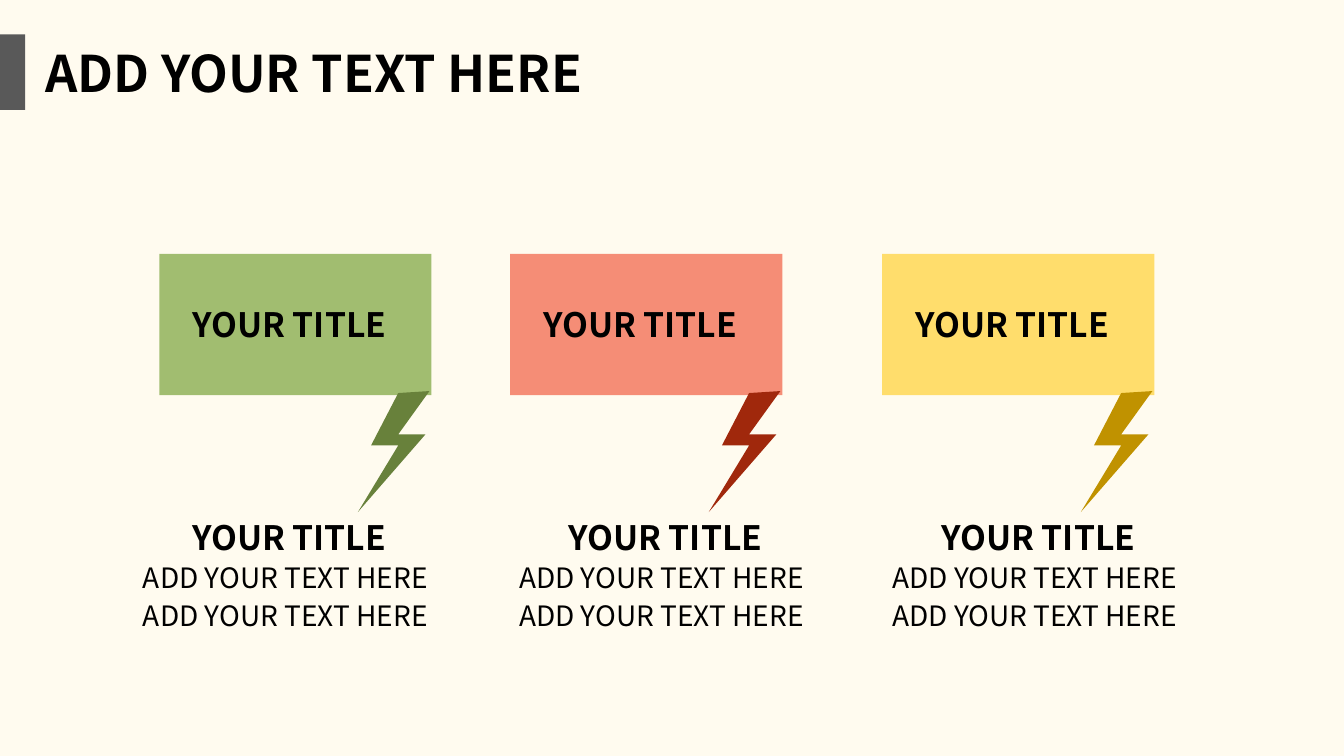
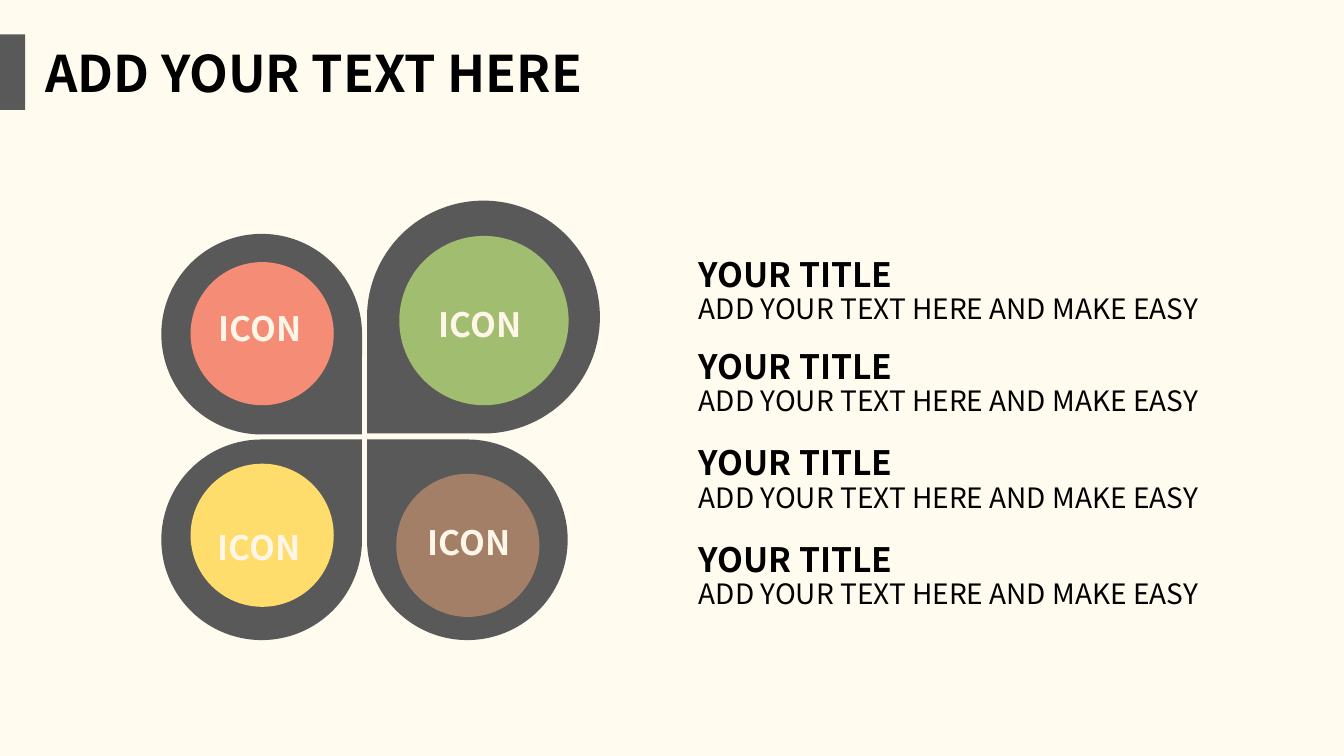
"""Build two infographic slides: lightning callouts and a four-petal diagram."""
from dataclasses import dataclass

from lxml.etree import SubElement
from pptx import Presentation
from pptx.dml.color import RGBColor
from pptx.enum.shapes import MSO_SHAPE
from pptx.enum.text import MSO_ANCHOR, MSO_AUTO_SIZE, PP_ALIGN
from pptx.oxml.ns import qn
from pptx.util import Inches, Pt


@dataclass(frozen=True)
class Theme:
    font: str = "Noto Sans CJK SC"
    cream: RGBColor = RGBColor.from_string("FFFBEF")
    ivory: RGBColor = RGBColor.from_string("FFF6E7")
    black: RGBColor = RGBColor.from_string("000000")
    gray: RGBColor = RGBColor.from_string("595959")
    green: RGBColor = RGBColor.from_string("A1BD70")
    dark_green: RGBColor = RGBColor.from_string("68813B")
    coral: RGBColor = RGBColor.from_string("F58D76")
    dark_red: RGBColor = RGBColor.from_string("A0280C")
    yellow: RGBColor = RGBColor.from_string("FFDD6C")
    dark_yellow: RGBColor = RGBColor.from_string("C09200")
    brown: RGBColor = RGBColor.from_string("A37F67")
    title_size: int = 36
    heading_size: int = 24
    text_size: int = 20


THEME = Theme()


def write(frame, text, *, size=THEME.text_size, bold=False, color=THEME.black,
          align=PP_ALIGN.LEFT, anchor=MSO_ANCHOR.TOP, before=0, leading=None):
    frame.word_wrap = True
    frame.auto_size = MSO_AUTO_SIZE.NONE
    frame.vertical_anchor = anchor
    paragraph = frame.paragraphs[0] if not frame.text else frame.add_paragraph()
    paragraph.alignment = align
    paragraph.space_before = Pt(before)
    if leading:
        paragraph.line_spacing = Pt(leading)
    run = paragraph.add_run()
    run.text = text
    run.font.name = THEME.font
    run.font.size = Pt(size)
    run.font.bold = bold
    run.font.color.rgb = color
    return paragraph


def paint(shape, color):
    shape.shadow.inherit = False
    shape.fill.solid()
    shape.fill.fore_color.rgb = color
    shape.line.fill.background()
    return shape


deck = Presentation()
deck.slide_width, deck.slide_height = Inches(13.33), Inches(7.5)
master_fill = deck.slide_master.background.fill
master_fill.solid()
master_fill.fore_color.rgb = THEME.cream

callout_slide = deck.slides.add_slide(deck.slide_layouts.get_by_name("Title Only"))
petal_slide = deck.slides.add_slide(deck.slide_layouts.get_by_name("Title and Content"))

for slide in deck.slides:
    paint(slide.shapes.add_shape(MSO_SHAPE.RECTANGLE, 0, Inches(0.34),
                                 Inches(0.25), Inches(0.75)), THEME.gray)
    title = slide.shapes.title
    title.left, title.top = Inches(0.35), Inches(0.37)
    title.width, title.height = Inches(5.95), Inches(0.71)
    write(title.text_frame, "ADD YOUR TEXT HERE", size=THEME.title_size, bold=True)

BOLT = [(2.37, 3.9), (2.1, 4.42), (2.37, 4.42), (1.97, 5.08),
        (2.64, 4.31), (2.37, 4.31), (2.68, 3.88)]
CALLOUTS = [(1.58, 1.32, THEME.green, THEME.dark_green),
            (5.06, 5.05, THEME.coral, THEME.dark_red),
            (8.75, 8.75, THEME.yellow, THEME.dark_yellow)]
for callout_left, caption_left, light, dark in CALLOUTS:
    callout = paint(callout_slide.shapes.add_shape(
        MSO_SHAPE.RECTANGLE, Inches(callout_left), Inches(2.52),
        Inches(2.7), Inches(1.4)), light)
    callout.text_frame.margin_left = Inches(0.33)
    write(callout.text_frame, "YOUR TITLE", size=THEME.heading_size, bold=True,
          anchor=MSO_ANCHOR.MIDDLE)

    corners = [(Inches(callout_left + x), Inches(y)) for x, y in BOLT]
    outline = callout_slide.shapes.build_freeform(*corners[0])
    outline.add_line_segments(corners[1:], close=True)
    paint(outline.convert_to_shape(), dark)

    heading = callout_slide.shapes.add_textbox(
        Inches(caption_left + 0.49), Inches(5.08), Inches(2.19), Inches(0.5))
    write(heading.text_frame, "YOUR TITLE", size=THEME.heading_size, bold=True)
    caption = callout_slide.shapes.add_textbox(
        Inches(caption_left), Inches(5.48), Inches(3.23), Inches(0.83))
    for _ in range(2):
        write(caption.text_frame, "ADD YOUR TEXT HERE", leading=26.6)

PETALS = [(1.6, 4.36, 1.99, 0), (3.64, 4.36, 1.99, 270),
          (1.6, 2.32, 1.99, 90), (3.64, 1.99, 2.31, 180)]
for left, top, size, turn in PETALS:
    petal = paint(petal_slide.shapes.add_shape(
        MSO_SHAPE.TEAR, Inches(left), Inches(top), Inches(size), Inches(size)), THEME.gray)
    petal.rotation = turn

DISCS = [(1.89, 2.6, 1.42, THEME.coral, 2.07, 3.01),
         (3.96, 2.34, 1.68, THEME.green, 4.25, 2.97),
         (1.89, 4.6, 1.42, THEME.yellow, 2.06, 5.18),
         (3.93, 4.7, 1.42, THEME.brown, 4.14, 5.13)]
for left, top, size, color, label_left, label_top in DISCS:
    paint(petal_slide.shapes.add_shape(
        MSO_SHAPE.OVAL, Inches(left), Inches(top), Inches(size), Inches(size)), color)
    label = petal_slide.shapes.add_textbox(
        Inches(label_left), Inches(label_top), Inches(1.1), Inches(0.5))
    write(label.text_frame, "ICON", size=THEME.heading_size, bold=True, color=THEME.ivory)

topics = petal_slide.placeholders[1]
topics.left, topics.top = Inches(6.83), Inches(2.45)
topics.width, topics.height = Inches(5.61), Inches(3.65)
for gap in (0, 13.5, 16.4, 16.4):
    write(topics.text_frame, "YOUR TITLE", size=THEME.heading_size, bold=True,
          before=gap, leading=30)
    write(topics.text_frame, "ADD YOUR TEXT HERE AND MAKE EASY", leading=22.4)
for paragraph in topics.text_frame.paragraphs:
    properties = paragraph._p.get_or_add_pPr()
    properties.set("marL", "0")
    properties.set("indent", "0")
    SubElement(properties, qn("a:buNone"))

deck.save("out.pptx")
